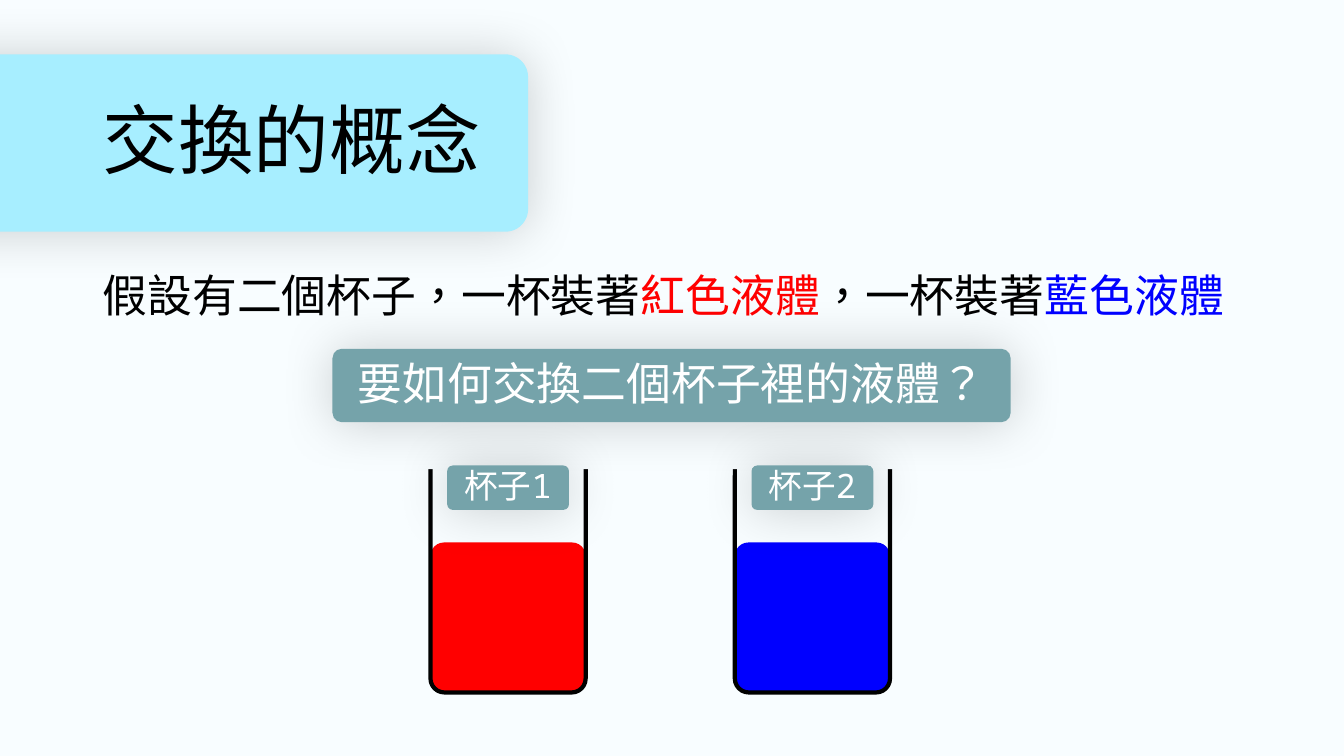
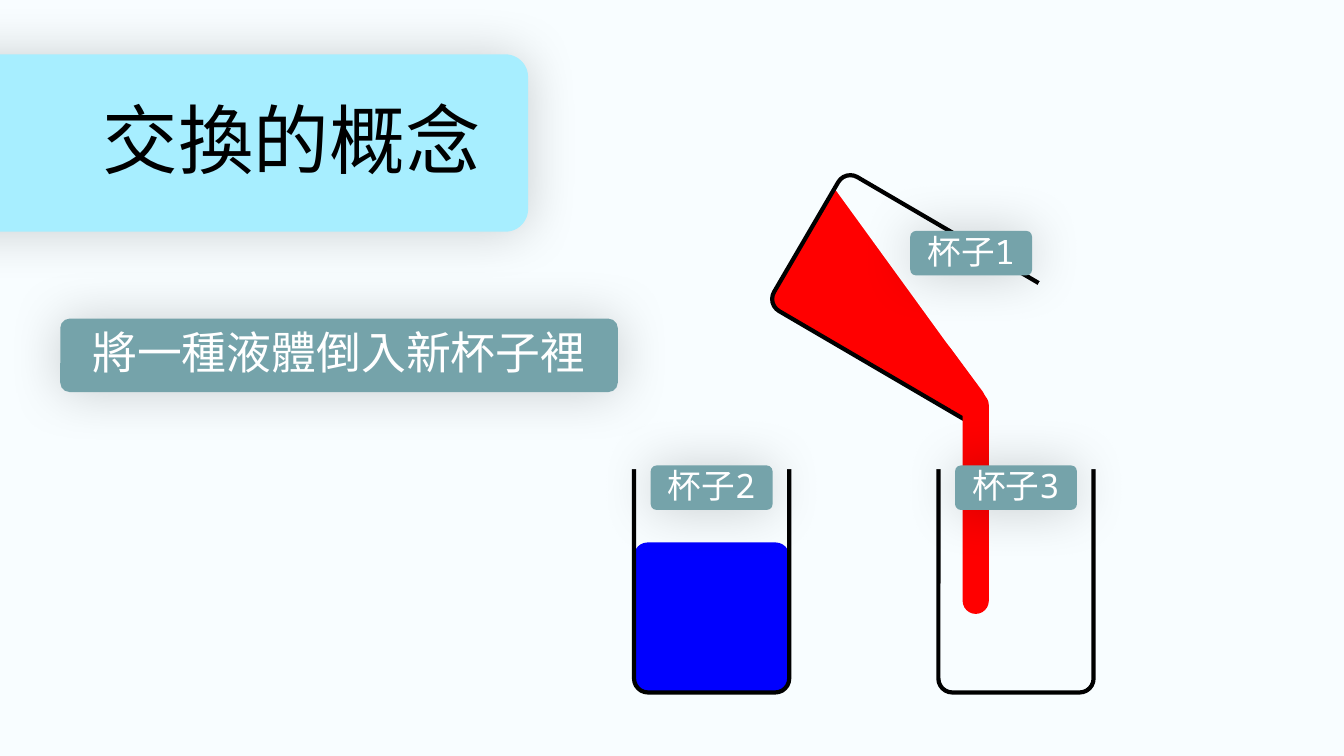
from dataclasses import dataclass

from lxml.etree import SubElement
from pptx import Presentation
from pptx.dml.color import RGBColor
from pptx.enum.lang import MSO_LANGUAGE_ID
from pptx.enum.shapes import MSO_SHAPE
from pptx.enum.text import MSO_ANCHOR, PP_ALIGN
from pptx.oxml.ns import qn
from pptx.util import Cm, Pt


@dataclass(frozen=True)
class Theme:
    font: str = "Noto Sans Mono"
    paper: str = "F8FDFF"
    band: str = "A7EEFF"
    pill: str = "75A3AA"
    ink: str = "000000"
    white: str = "FFFFFF"
    red: str = "FF0000"
    blue: str = "0000FF"
    title_size: int = 54
    body_size: int = 32
    label_size: int = 24
    outline: int = 3
    shadow_blur: int = 38
    shadow_alpha: int = 19
    box_corner: float = 0.128
    cup_corner: float = 0.09
    round_end: float = 0.5


THEME = Theme()

TITLE = "交換的概念"
CUP_WIDTH, CUP_HEIGHT, CUP_BOTTOM = 3.91, 6.07, 17.45
LIQUID_HEIGHT = 3.78
RIM_WIDTH, RIM_HEIGHT = 5.08, 0.69
CUP_PITCH = 7.67
LABEL_WIDTH, LABEL_HEIGHT, LABEL_TOP = 3.07, 1.12, 11.73
TILT = 120.3

SLIDES = [
    {
        "body": [
            ("假設有二個杯子，一杯裝著", THEME.ink),
            ("紅色液體", THEME.red),
            ("，一杯裝著", THEME.ink),
            ("藍色液體", THEME.blue),
        ],
        "pill": ("要如何交換二個杯子裡的液體？", (8.38, 8.79, 17.09, 1.85)),
        "first_cup": 10.85,
        "cups": [("杯子1", THEME.red), ("杯子2", THEME.blue)],
        "pouring": None,
    },
    {
        "body": None,
        "pill": ("將一種液體倒入新杯子裡", (1.52, 8.03, 14.05, 1.85)),
        "first_cup": 15.98,
        "cups": [("杯子2", THEME.blue), ("杯子3", None)],
        "pouring": ("杯子1", 22.94, 5.82),
    },
]


def rgb(value):
    return RGBColor.from_string(value)


def add_figure(shapes, area, fill=None, corner=THEME.cup_corner, rotation=0,
               outlined=False, kind=MSO_SHAPE.ROUNDED_RECTANGLE):
    figure = shapes.add_shape(kind, *map(Cm, area))
    figure.shadow.inherit = False
    figure.adjustments[0] = corner
    figure.rotation = rotation
    if fill:
        figure.fill.solid()
        figure.fill.fore_color.rgb = rgb(fill)
    else:
        figure.fill.background()
    if outlined:
        figure.line.color.rgb = rgb(THEME.ink)
        figure.line.width = Pt(THEME.outline)
    else:
        figure.line.fill.background()
    return figure


def add_shadow(figure):
    effects = figure._element.spPr.find(qn("a:effectLst"))
    shadow = SubElement(effects, qn("a:outerShdw"), blurRad=str(Pt(THEME.shadow_blur)),
                        dist="0", dir="0", algn="ctr", rotWithShape="0")
    color = SubElement(shadow, qn("a:srgbClr"), val=THEME.ink)
    SubElement(color, qn("a:alpha"), val=str(THEME.shadow_alpha * 1000))


def write(box, spans, size, align=PP_ALIGN.LEFT, anchor=MSO_ANCHOR.MIDDLE):
    frame = box.text_frame
    frame.word_wrap = True
    frame.vertical_anchor = anchor
    para = frame.paragraphs[0]
    para.alignment = align
    para.line_spacing = 0.9
    para.font.size = Pt(size)
    para.font.name = THEME.font
    SubElement(para.font._rPr, qn("a:ea"), typeface=THEME.font)
    for text, color in spans:
        span = para.add_run()
        span.text = text
        span.font.language_id = MSO_LANGUAGE_ID.TRADITIONAL_CHINESE
        span.font.color.rgb = rgb(color)


def add_pill(page, text, area, size):
    pill = add_figure(page.shapes, area, THEME.pill, THEME.box_corner)
    add_shadow(pill)
    write(pill, [(text, THEME.white)], size, PP_ALIGN.CENTER)


def add_label(page, text, left, top):
    add_pill(page, text, (left, top, LABEL_WIDTH, LABEL_HEIGHT), THEME.label_size)


def add_title(page):
    add_shadow(add_figure(page.shapes, (-3.99, 1.37, 17.3, 4.47), THEME.band, THEME.box_corner))
    box = page.shapes.add_textbox(Cm(2.34), Cm(1.8), Cm(29.21), Cm(3.68))
    write(box, [(TITLE, THEME.ink)], THEME.title_size)


def add_body(page, spans):
    box = page.shapes.add_textbox(Cm(2.34), Cm(6.78), Cm(29.21), Cm(1.9))
    write(box, spans, THEME.body_size, anchor=MSO_ANCHOR.TOP)


def add_cup(page, left, liquid):
    shapes = page.shapes.add_group_shape().shapes
    top = CUP_BOTTOM - CUP_HEIGHT
    if liquid:
        add_figure(shapes, (left, CUP_BOTTOM - LIQUID_HEIGHT, CUP_WIDTH, LIQUID_HEIGHT), liquid)
    add_figure(shapes, (left, top, CUP_WIDTH, CUP_HEIGHT), outlined=True)
    rim_left = left - (RIM_WIDTH - CUP_WIDTH) / 2
    add_figure(shapes, (rim_left, top - 0.25, RIM_WIDTH, RIM_HEIGHT), THEME.paper)


def add_pouring(page):
    shapes = page.shapes
    add_figure(shapes, (20.8, 4.57, CUP_WIDTH, 5.59), THEME.red, rotation=TILT)
    add_figure(shapes, (21.54, 3.58, 6.12, 8.03), THEME.paper, 0.433, 167.4,
               kind=MSO_SHAPE.ISOSCELES_TRIANGLE)
    add_figure(shapes, (23.55, 8.43, 0.89, 2.29), THEME.red, THEME.round_end, 323.5)
    add_figure(shapes, (20.98, 4.47, CUP_WIDTH, CUP_HEIGHT), rotation=TILT, outlined=True)
    for left, top, width in [(24.1, 7.98, 3.56), (24.16, 8.46, 3.51)]:
        add_figure(shapes, (left, top, width, RIM_HEIGHT), THEME.paper, THEME.round_end, TILT)
    add_figure(shapes, (24.26, 9.88, 0.66, 5.59), THEME.red, THEME.round_end)


def add_page(deck, content):
    page = deck.slides.add_slide(deck.slide_layouts[6])
    page.background.fill.solid()
    page.background.fill.fore_color.rgb = rgb(THEME.paper)
    add_title(page)
    if content["body"]:
        add_body(page, content["body"])
    cups = [(content["first_cup"] + index * CUP_PITCH, name, liquid)
            for index, (name, liquid) in enumerate(content["cups"])]
    for left, name, liquid in cups:
        add_cup(page, left, liquid)
    text, area = content["pill"]
    add_pill(page, text, area, THEME.body_size)
    if content["pouring"]:
        add_pouring(page)
        add_label(page, *content["pouring"])
    for left, name, liquid in cups:
        add_label(page, name, left + (CUP_WIDTH - LABEL_WIDTH) / 2, LABEL_TOP)


def main():
    deck = Presentation()
    deck.slide_width, deck.slide_height = Cm(33.87), Cm(19.05)
    for content in SLIDES:
        add_page(deck, content)
    deck.save("out.pptx")


if __name__ == "__main__":
    main()
